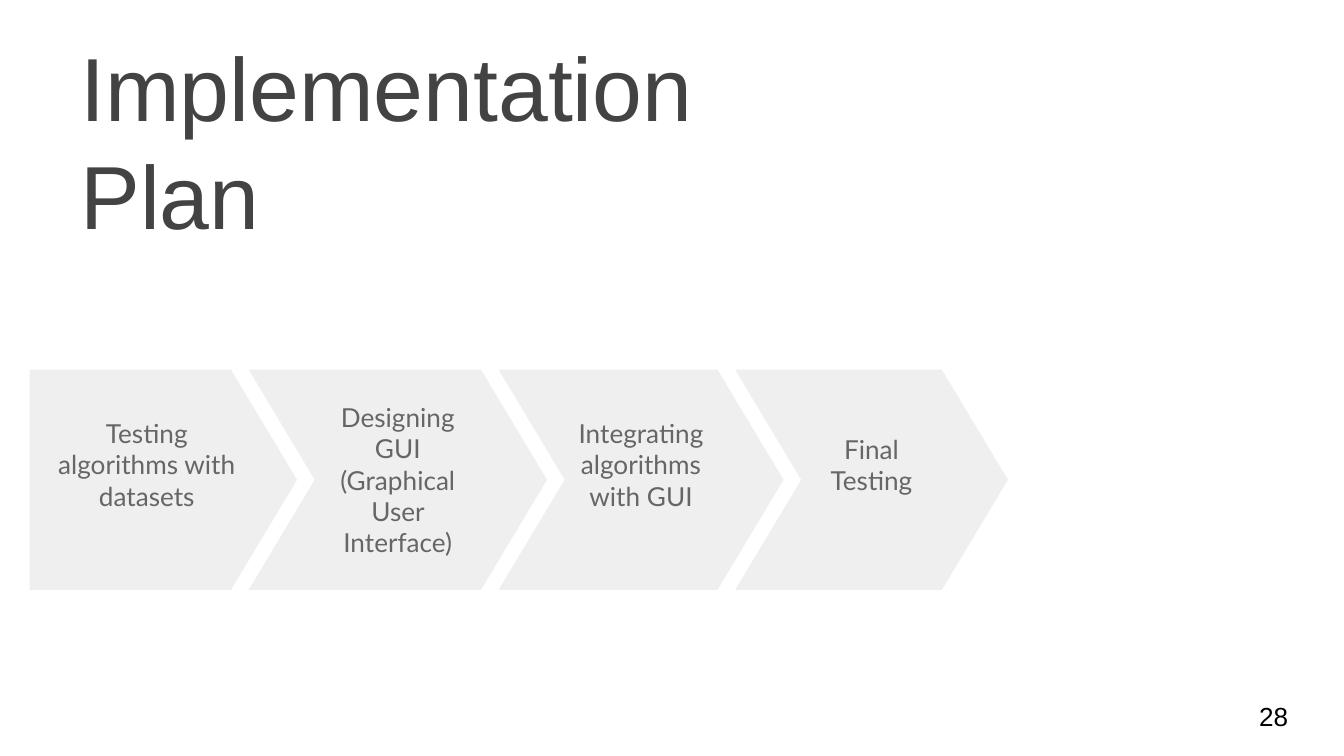
from typing import NamedTuple

from pptx import Presentation
from pptx.dml.color import RGBColor
from pptx.enum.shapes import MSO_SHAPE
from pptx.enum.text import MSO_ANCHOR, PP_ALIGN
from pptx.util import Inches, Pt

COLORS = {"title": "434343", "number": "000000", "step": "EFEFEF", "label": "666666"}
WIDTH = 10
TOP, HEIGHT = 2.75, 1.64
PAD = 0.1
LIFT = 0.23  # one line of extra bottom inset


class Step(NamedTuple):
    text: str
    left: float
    width: float
    lift: float = LIFT


STEPS = [
    Step("Testing algorithms with datasets", 0.22, 1.99),
    Step("Designing GUI (Graphical User Interface)", 1.85, 2.22, 0),
    Step("Integrating algorithms with GUI", 3.71, 2.12),
    Step("Final Testing", 5.47, 2.03),
]


def color(name: str) -> RGBColor:
    return RGBColor.from_string(COLORS[name])


def write(shape, text: str, size: int, font: str, tint: str,
          anchor=MSO_ANCHOR.MIDDLE, align=PP_ALIGN.LEFT, lift: float = 0) -> None:
    frame = shape.text_frame
    frame.word_wrap = True
    frame.vertical_anchor = anchor
    frame.margin_left = frame.margin_right = frame.margin_top = Inches(PAD)
    frame.margin_bottom = Inches(PAD + lift)
    para = frame.paragraphs[0]
    para.text = text
    para.alignment = align
    para.font.size = Pt(size)
    para.font.name = font
    para.font.color.rgb = color(tint)


def add_step(slide, step: Step, kind: MSO_SHAPE) -> None:
    shape = slide.shapes.add_shape(
        kind, Inches(step.left), Inches(TOP), Inches(step.width), Inches(HEIGHT))
    shape.adjustments[0] = 0.3
    shape.shadow.inherit = False
    shape.fill.solid()
    shape.fill.fore_color.rgb = color("step")
    shape.line.fill.background()
    write(shape, step.text, 14, "Lato", "label", align=PP_ALIGN.CENTER, lift=step.lift)


def main() -> None:
    deck = Presentation()
    # Widescreen, 16:9
    deck.slide_width, deck.slide_height = Inches(WIDTH), Inches(WIDTH * 9 / 16)
    slide = deck.slides.add_slide(deck.slide_layouts[6])

    # Title
    title = slide.shapes.add_textbox(Inches(0.5), Inches(1), Inches(6.03), Inches(0.94))
    write(title, "Implementation Plan", 48, "Arial", "title", anchor=MSO_ANCHOR.BOTTOM)

    # Page number
    number = slide.shapes.add_textbox(Inches(9.27), Inches(5.11), Inches(0.6), Inches(0.43))
    write(number, "28", 14, "Arial", "number")

    # Process arrows: a flat start, then chevrons
    for i, step in enumerate(STEPS):
        add_step(slide, step, MSO_SHAPE.CHEVRON if i else MSO_SHAPE.PENTAGON)

    deck.save("out.pptx")


if __name__ == "__main__":
    main()
